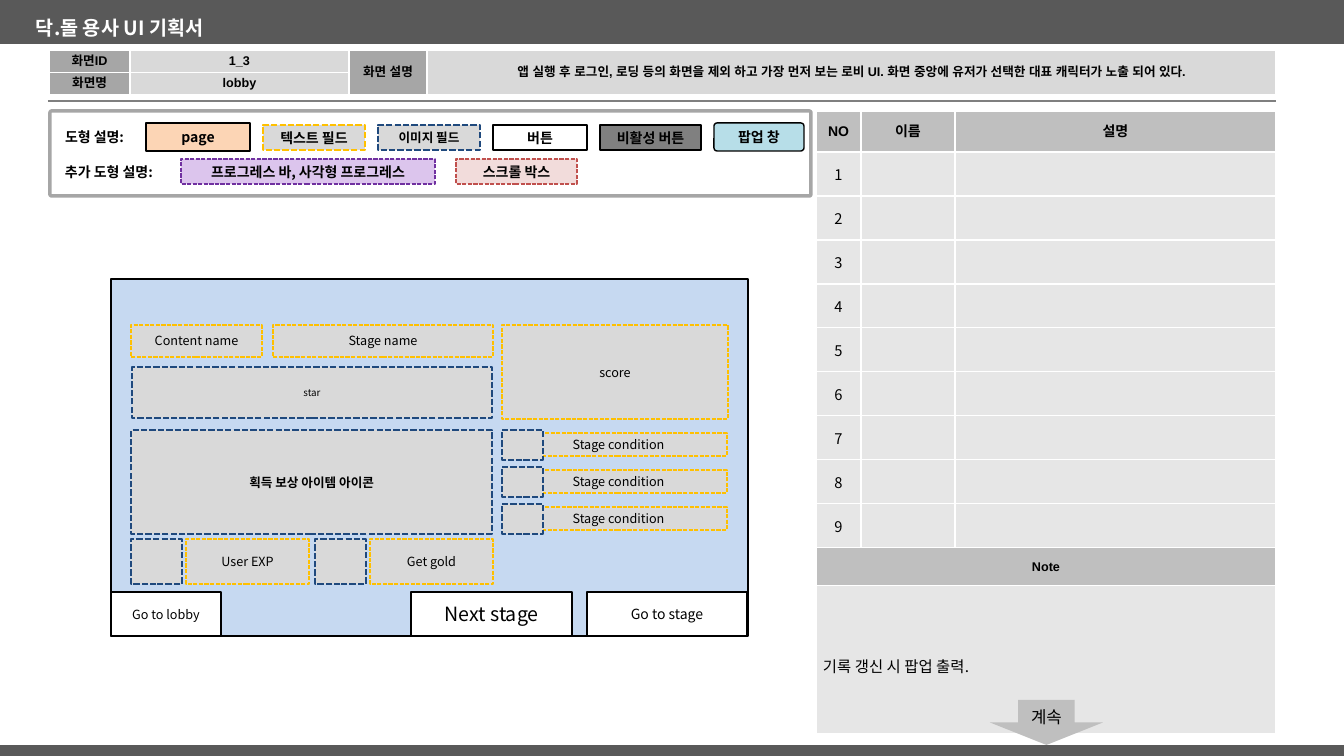
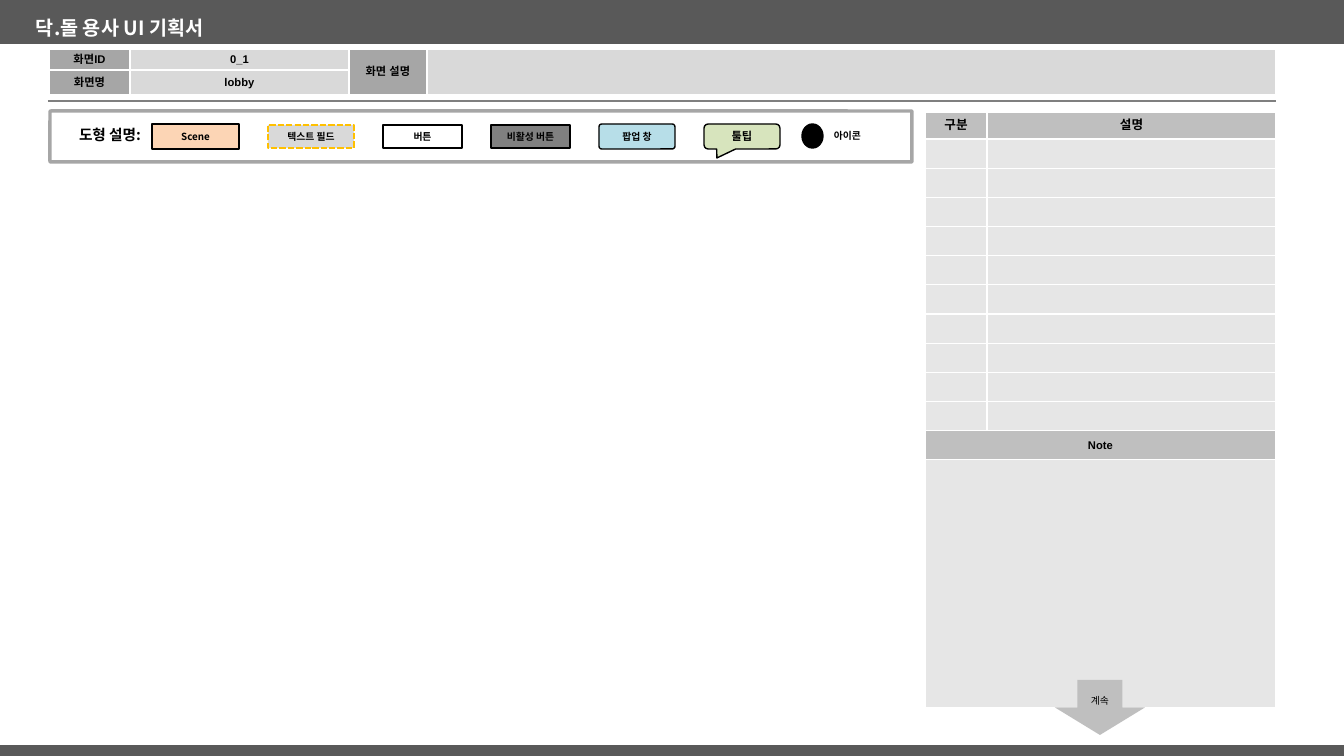
"""Build two screen-planning slides: a stage result wireframe and an empty template."""
import lxml.etree
import pptx
import pptx.dml.color
import pptx.enum.dml
import pptx.enum.shapes
import pptx.enum.text
import pptx.oxml.ns
import pptx.util

RGB = pptx.dml.color.RGBColor
SHAPE = pptx.enum.shapes.MSO_SHAPE
ALIGN = pptx.enum.text.PP_ALIGN
MIDDLE = pptx.enum.text.MSO_ANCHOR.MIDDLE
TOP = pptx.enum.text.MSO_ANCHOR.TOP
qn = pptx.oxml.ns.qn

SCALE = 914400 / 100.8
WIDTH, HEIGHT = 1344, 756
KOREAN, LATIN = "Noto Sans CJK KR", "Arial"

BLACK = RGB(0x00, 0x00, 0x00)
WHITE = RGB(0xFF, 0xFF, 0xFF)
BAND = RGB(0x59, 0x59, 0x59)
RULE = RGB(0x7F, 0x7F, 0x7F)
DISABLED = RGB(0x80, 0x80, 0x80)
LABEL_GRAY = RGB(0xA6, 0xA6, 0xA6)
HEAD_GRAY = RGB(0xBF, 0xBF, 0xBF)
FIELD_GRAY = RGB(0xD9, 0xD9, 0xD9)
BODY_GRAY = RGB(0xE6, 0xE6, 0xE6)
PEACH = RGB(0xFC, 0xD5, 0xB5)
AMBER = RGB(0xFF, 0xC0, 0x00)
NAVY = RGB(0x1F, 0x49, 0x7D)
SKY = RGB(0xC6, 0xD9, 0xF1)
TEAL = RGB(0xB7, 0xDE, 0xE8)
LILAC = RGB(0xDC, 0xC5, 0xED)
PURPLE = RGB(0x70, 0x30, 0xA0)
PINK = RGB(0xF2, 0xDC, 0xDB)
RED = RGB(0xC0, 0x50, 0x4D)
GREEN = RGB(0xD7, 0xE4, 0xBD)

KINDS = {
    "band": (SHAPE.RECTANGLE, BAND, None, 0, False, []),
    "frame": (SHAPE.ROUNDED_RECTANGLE, None, LABEL_GRAY, 2.5, False, [0.02]),
    "screen": (SHAPE.RECTANGLE, SKY, BLACK, 1, False, []),
    "page": (SHAPE.RECTANGLE, PEACH, BLACK, 1, False, []),
    "text": (SHAPE.RECTANGLE, FIELD_GRAY, AMBER, 1, True, []),
    "text key": (SHAPE.RECTANGLE, FIELD_GRAY, AMBER, 1.5, True, []),
    "image": (SHAPE.RECTANGLE, FIELD_GRAY, NAVY, 1.5, True, []),
    "button": (SHAPE.RECTANGLE, WHITE, BLACK, 1, False, []),
    "disabled": (SHAPE.RECTANGLE, DISABLED, BLACK, 1, False, []),
    "popup": (SHAPE.ROUNDED_RECTANGLE, TEAL, BLACK, 1, False, [0.11]),
    "progress": (SHAPE.RECTANGLE, LILAC, PURPLE, 1, True, []),
    "scroll": (SHAPE.RECTANGLE, PINK, RED, 1, True, []),
    "tooltip": (SHAPE.ROUNDED_RECTANGULAR_CALLOUT, GREEN, BLACK, 1, False, [-0.33, 0.86, 0.17]),
    "icon": (SHAPE.OVAL, BLACK, BLACK, 1, False, []),
    "arrow": (SHAPE.DOWN_ARROW, HEAD_GRAY, None, 0, False, []),
}

TITLE = "닥.돌 용사 UI 기획서"
BANDS = [(0, 0, WIDTH, 44), (0, 745, WIDTH, 11)]
HEADER_COLS = [81, 219, 78, 849]

LOBBY = {
    "header": {
        "top": 50, "rows": [22, 23], "size": 9, "id": "1_3", "name": "lobby",
        "about": "앱 실행 후 로그인, 로딩 등의 화면을 제외 하고 가장 먼저 보는 로비 UI. "
                 "화면 중앙에 유저가 선택한 대표 캐릭터가 노출 되어 있다.",
    },
    "list": {
        "at": (816, 111), "cols": [45, 94, 321], "rows": [41] + [44] * 9 + [38, 148],
        "head": ["NO", "이름", "설명"], "head_size": 10, "numbered": True,
        "note_size": 9, "note": "기록 갱신 시 팝업 출력.",
    },
    "labels": [
        ("도형 설명:", 10, (65, 123, 76, 28)),
        ("추가 도형 설명:", 10, (65, 158, 112, 28)),
    ],
    "legend": [
        ("frame", "", 10, (50, 111, 761, 85)),
        ("page", "page", 10, (146, 123, 104, 28)),
        ("text key", "텍스트 필드", 10, (263, 125, 102, 25)),
        ("image", "이미지 필드", 9, (378, 125, 102, 25)),
        ("button", "버튼", 10, (493, 125, 94, 25)),
        ("disabled", "비활성 버튼", 10, (600, 125, 101, 25)),
        ("popup", "팝업 창", 10, (714, 123, 90, 28)),
        ("progress", "프로그레스 바, 사각형 프로그레스", 10, (181, 159, 254, 25)),
        ("scroll", "스크롤 박스", 10, (456, 159, 121, 25)),
    ],
    "wireframe": [
        ("screen", "", 9, (111, 279, 637, 357)),
        ("text", "Content name", 9, (131, 325, 131, 32)),
        ("text", "Stage name", 9, (273, 325, 220, 32)),
        ("text", "score", 9, (502, 325, 226, 94)),
        ("image", "star", 7, (132, 367, 360, 51)),
        ("image", "", 9, (131, 539, 51, 45)),
        ("text", "User EXP", 9, (186, 539, 123, 45)),
        ("image", "", 9, (315, 539, 51, 45)),
        ("text", "Get gold", 9, (370, 539, 123, 45)),
        ("button", "Go to lobby", 9, (111, 592, 110, 44)),
        ("button", "Next stage", 14, (411, 592, 161, 44)),
        ("button", "Go to stage", 10, (587, 592, 160, 44)),
    ],
    "arrow": (12, (990, 700, 113, 45)),
}
REWARD = ("image", "획득 보상 아이템 아이콘", 9, (131, 430, 361, 104))
CONDITION_TOP, CONDITION_STEP, CONDITION_COUNT = 430, 37, 3

TEMPLATE = {
    "header": {"top": 49, "rows": [21, 25], "size": 8, "id": "0_1", "name": "lobby", "about": ""},
    "list": {
        "at": (925, 112), "cols": [62, 289], "rows": [27] + [29] * 11 + [248],
        "head": ["구분", "설명"], "head_size": 9, "numbered": False,
        "note_size": 8, "note": "",
    },
    "labels": [
        ("도형 설명:", 10.5, (79, 121, 73, 28)),
        ("아이콘", 7, (834, 125, 50, 22)),
    ],
    "legend": [
        ("frame", "", 7, (50, 111, 862, 51)),
        ("page", "Scene", 7, (152, 124, 87, 25)),
        ("text key", "텍스트 필드", 7, (268, 125, 86, 23)),
        ("button", "버튼", 7, (383, 125, 79, 23)),
        ("disabled", "비활성 버튼", 7, (491, 125, 79, 23)),
        ("popup", "팝업 창", 7, (599, 124, 76, 25)),
        ("tooltip", "툴팁", 8, (704, 124, 76, 25)),
        ("icon", "", 7, (802, 124, 21, 24)),
    ],
    "wireframe": [],
    "arrow": (7, (1055, 680, 90, 55)),
}


def px(n):
    return pptx.util.Emu(round(n * SCALE))


def style(p, size, bold=False, color=BLACK, name=KOREAN, align=ALIGN.CENTER):
    p.alignment = align
    p.font.size = pptx.util.Pt(size)
    p.font.bold = bold
    p.font.color.rgb = color
    p.font.name = name
    props = p._p.pPr.find(qn("a:defRPr"))
    lxml.etree.SubElement(props, qn("a:ea"), typeface=name)
    if not p.text:
        lxml.etree.SubElement(p._p, qn("a:endParaRPr"), sz=str(round(size * 100)))


def fill_text(tf, text, size, **look):
    tf.margin_left = tf.margin_right = tf.margin_top = tf.margin_bottom = 0
    tf.word_wrap = True
    tf.vertical_anchor = MIDDLE
    tf.text = text
    style(tf.paragraphs[0], size, **look)


def add_box(shapes, kind, text, size, at, bold=False):
    preset, fill, line, weight, dashed, adjustments = KINDS[kind]
    sp = shapes.add_shape(preset, *map(px, at))
    sp.shadow.inherit = False
    for i, value in enumerate(adjustments):
        sp.adjustments[i] = value
    if fill is None:
        sp.fill.background()
    else:
        sp.fill.solid()
        sp.fill.fore_color.rgb = fill
    if line is None:
        sp.line.fill.background()
    else:
        sp.line.color.rgb = line
        sp.line.width = pptx.util.Pt(weight)
        if dashed:
            sp.line.dash_style = pptx.enum.dml.MSO_LINE.SQUARE_DOT
    if text:
        fill_text(sp.text_frame, text, size, bold=bold)
    return sp


def add_label(s, text, size, at):
    tf = s.shapes.add_textbox(*map(px, at)).text_frame
    fill_text(tf, text, size, bold=True, align=ALIGN.LEFT)


def add_table(s, x, y, cols, rows):
    frame = s.shapes.add_table(len(rows), len(cols), px(x), px(y), px(sum(cols)), px(sum(rows)))
    table = frame.table
    table.first_row = table.horz_banding = False
    for column, width in zip(table.columns, cols):
        column.width = px(width)
    for row, height in zip(table.rows, rows):
        row.height = px(height)
    return table


def set_cell(cell, text, fill, size, **look):
    cell.margin_left = cell.margin_right = cell.margin_top = cell.margin_bottom = px(4)
    cell.vertical_anchor = MIDDLE
    for side in ("lnL", "lnR", "lnT", "lnB"):
        border = lxml.etree.SubElement(cell._tc.tcPr, qn("a:" + side), w="12700")
        solid = lxml.etree.SubElement(border, qn("a:solidFill"))
        lxml.etree.SubElement(solid, qn("a:srgbClr"), val=str(WHITE))
    cell.fill.solid()
    cell.fill.fore_color.rgb = fill
    cell.text = text
    style(cell.text_frame.paragraphs[0], size, **look)


def add_header(s, header):
    table = add_table(s, 49, header["top"], HEADER_COLS, header["rows"])
    texts = [["화면ID", header["id"], "화면 설명", header["about"]],
             ["화면명", header["name"], "", ""]]
    for r, row in enumerate(texts):
        for c, text in enumerate(row):
            fill = FIELD_GRAY if c % 2 else LABEL_GRAY
            set_cell(table.cell(r, c), text, fill, header["size"], bold=True, name=LATIN)
    for c in (2, 3):
        table.cell(0, c).merge(table.cell(1, c))


def add_list(s, data):
    cols, rows = data["cols"], data["rows"]
    table = add_table(s, *data["at"], cols, rows)
    note = len(rows) - 2
    for r in range(len(rows)):
        for c in range(len(cols)):
            cell = table.cell(r, c)
            if r == 0:
                set_cell(cell, data["head"][c], HEAD_GRAY, data["head_size"], bold=True, name=LATIN)
            elif r == note:
                text = "Note" if c == 0 else ""
                set_cell(cell, text, HEAD_GRAY, data["note_size"], bold=True, name=LATIN)
            elif r > note:
                text = data["note"] if c == 0 else ""
                set_cell(cell, text, BODY_GRAY, 11, align=ALIGN.LEFT)
                cell.margin_left = px(7)
                cell.text_frame.paragraphs[0].line_spacing = 1.5
            else:
                text = str(r) if data["numbered"] and c == 0 else ""
                set_cell(cell, text, BODY_GRAY, 10.5)
    for r in (note, note + 1):
        table.cell(r, 0).merge(table.cell(r, len(cols) - 1))


def add_conditions(s):
    for i in range(CONDITION_COUNT):
        y = CONDITION_TOP + i * CONDITION_STEP
        shapes = s.shapes.add_group_shape().shapes
        add_box(shapes, "text", "Stage condition", 9, (510, y + 3, 217, 23))
        add_box(shapes, "image", "", 9, (502, y, 41, 30))


def set_up_layout(layout, s):
    title = layout.placeholders[0]
    for ph in list(layout.placeholders)[1:]:
        ph.element.getparent().remove(ph.element)
    title.left, title.top, title.width, title.height = map(px, (26, 11, 1280, 34))
    parts = [add_box(s.shapes, "band", "", 9, at) for at in BANDS]
    rule = s.shapes.add_connector(
        pptx.enum.shapes.MSO_CONNECTOR.STRAIGHT, px(48), px(101), px(1276), px(101))
    rule.line.color.rgb = RULE
    rule.line.width = pptx.util.Pt(0.75)
    lxml.etree.SubElement(rule.element.spPr, qn("a:effectLst"))
    for part in parts + [rule]:
        title.element.addprevious(part.element)


def add_content(s, data):
    tf = s.shapes.title.text_frame
    fill_text(tf, TITLE, 14, bold=True, color=WHITE, align=ALIGN.LEFT)
    tf.margin_left, tf.margin_top = px(10), px(5)
    tf.vertical_anchor = TOP
    tf.auto_size = pptx.enum.text.MSO_AUTO_SIZE.NONE
    add_header(s, data["header"])
    add_list(s, data["list"])
    for item in data["legend"]:
        add_box(s.shapes, *item, bold=True)
    for label in data["labels"]:
        add_label(s, *label)
    for item in data["wireframe"]:
        add_box(s.shapes, *item)
    size, at = data["arrow"]
    add_box(s.shapes, "arrow", "계속", size, at)


def main():
    prs = pptx.Presentation()
    prs.slide_width, prs.slide_height = px(WIDTH), px(HEIGHT)
    layout = prs.slide_layouts[5]
    lobby, template = (prs.slides.add_slide(layout) for _ in range(2))
    set_up_layout(layout, lobby)
    add_content(lobby, LOBBY)
    add_box(lobby.shapes, *REWARD, bold=True)
    add_conditions(lobby)
    add_content(template, TEMPLATE)
    prs.save("out.pptx")


if __name__ == "__main__":
    main()
